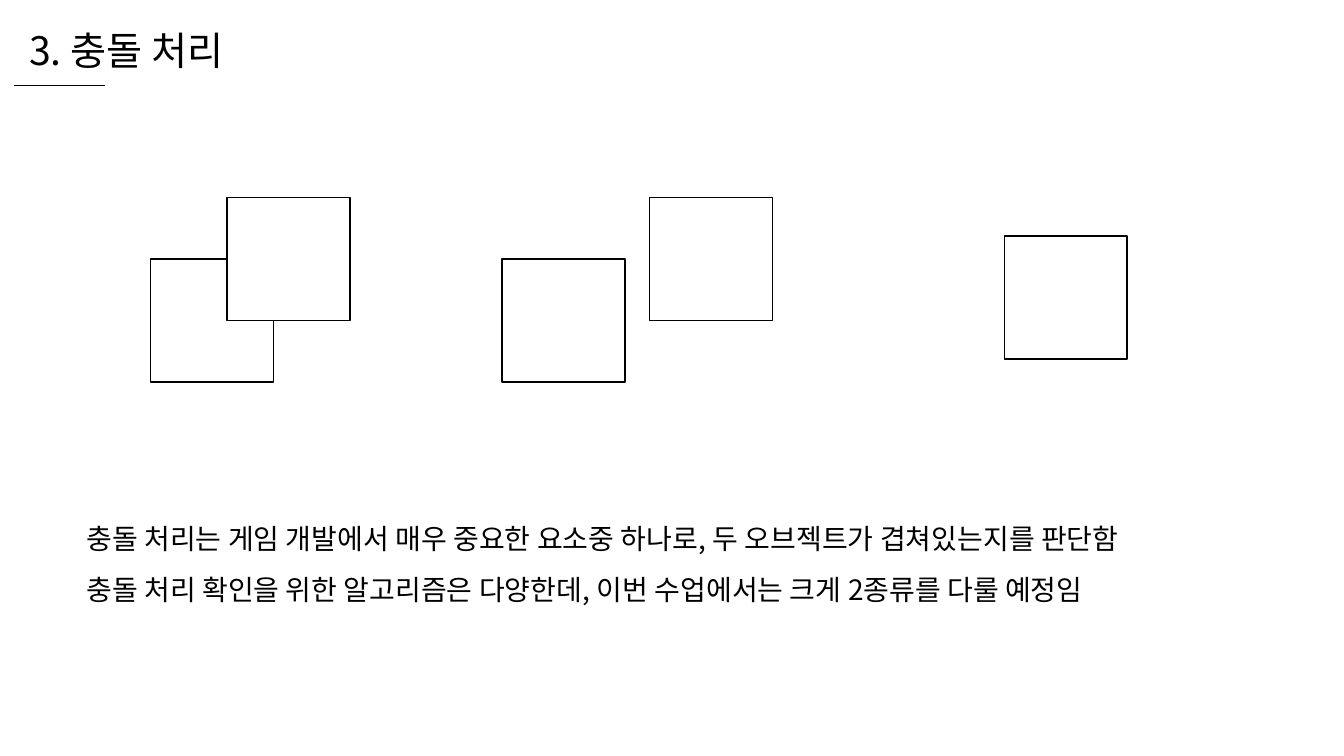
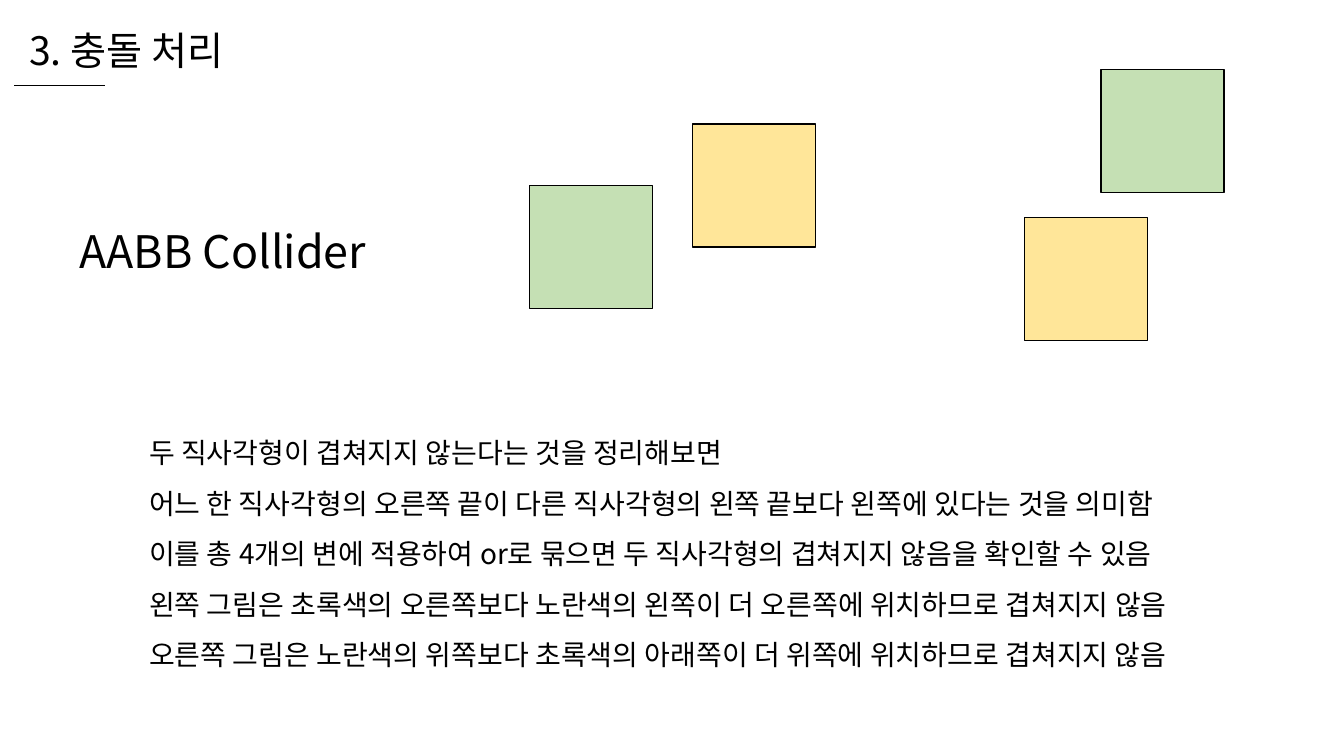
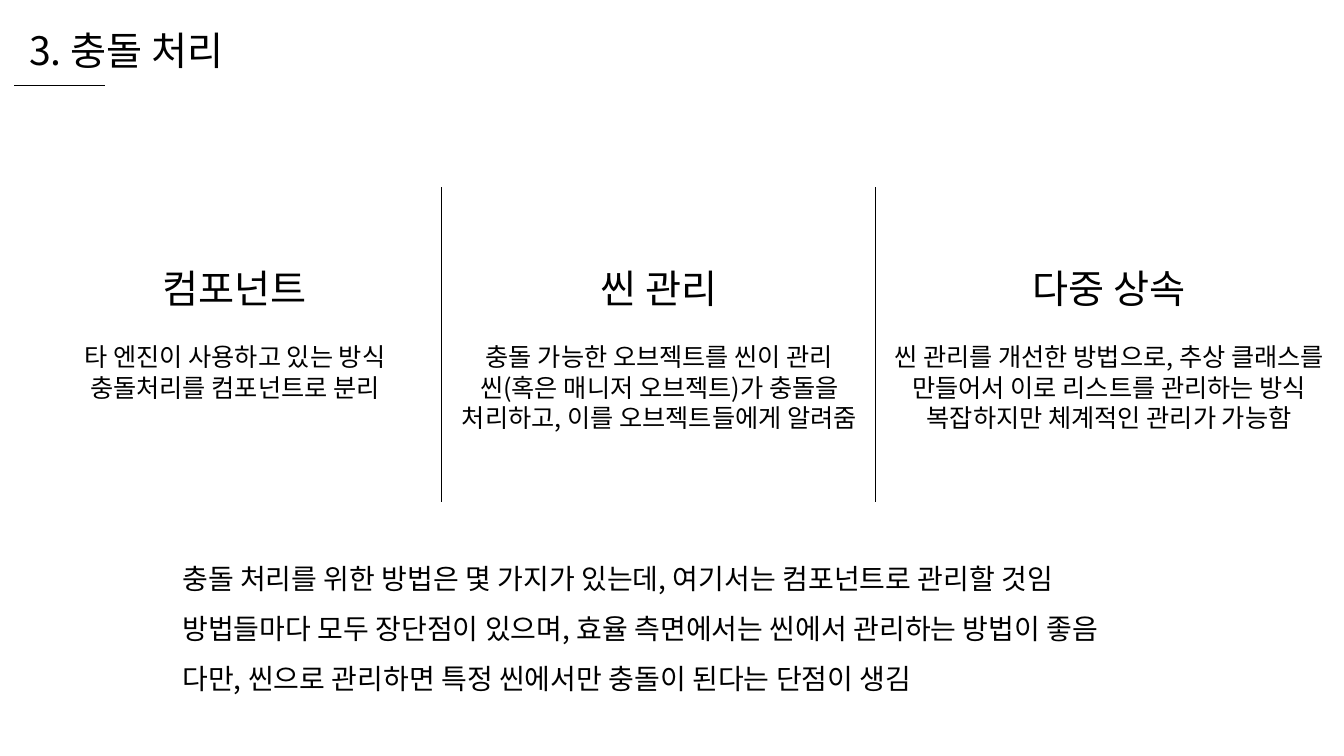
from lxml import etree
from pptx import Presentation
from pptx.dml.color import RGBColor
from pptx.enum import shapes, text
from pptx.oxml import ns
from pptx.util import Inches, Pt

FONT = "Noto Sans CJK KR"
COLORS = {"ink": "000000", "white": "FFFFFF", "green": "C5E0B4", "yellow": "FFE699"}
TITLE = "3. 충돌 처리"
SQUARE = 1.22
TITLE_SIZE, BODY_SIZE, DETAIL_SIZE = 28, 20, 18

# Content: squares are (left, top, colour); notes are (left, top, width, height, lines)
INTRO_SQUARES = [
    (1.49, 2.57, "white"), (2.25, 1.96, "white"),
    (4.98, 2.57, "white"), (6.44, 1.96, "white"),
    (9.96, 2.34, "white"),
]
INTRO_NOTES = (0.76, 4.96, 10.88, 1.05, [
    "충돌 처리는 게임 개발에서 매우 중요한 요소중 하나로, 두 오브젝트가 겹쳐있는지를 판단함",
    "충돌 처리 확인을 위한 알고리즘은 다양한데, 이번 수업에서는 크게 2종류를 다룰 예정임",
])

AABB_SQUARES = [
    (5.25, 1.84, "green"), (6.87, 1.23, "yellow"),
    (10.16, 2.16, "yellow"), (10.92, 0.69, "green"),
]
AABB_NOTES = (1.38, 4.11, 10.72, 2.57, [
    "두 직사각형이 겹쳐지지 않는다는 것을 정리해보면",
    "어느 한 직사각형의 오른쪽 끝이 다른 직사각형의 왼쪽 끝보다 왼쪽에 있다는 것을 의미함",
    "이를 총 4개의 변에 적용하여 or로 묶으면 두 직사각형의 겹쳐지지 않음을 확인할 수 있음",
    "왼쪽 그림은 초록색의 오른쪽보다 노란색의 왼쪽이 더 오른쪽에 위치하므로 겹쳐지지 않음",
    "오른쪽 그림은 노란색의 위쪽보다 초록색의 아래쪽이 더 위쪽에 위치하므로 겹쳐지지 않음",
])

# Methods: (centre, heading, heading width, detail width, detail lines)
METHODS = [
    (2.33, "컴포넌트", 1.68, 3.25, [
        "타 엔진이 사용하고 있는 방식",
        "충돌처리를 컴포넌트로 분리",
    ]),
    (6.54, "씬 관리", 1.42, 4.35, [
        "충돌 가능한 오브젝트를 씬이 관리",
        "씬(혹은 매니저 오브젝트)가 충돌을",
        "처리하고, 이를 오브젝트들에게 알려줌",
    ]),
    (11.0, "다중 상속", 1.79, 4.65, [
        "씬 관리를 개선한 방법으로, 추상 클래스를",
        "만들어서 이로 리스트를 관리하는 방식",
        "복잡하지만 체계적인 관리가 가능함",
    ]),
]
DIVIDERS = [4.38, 8.68]
METHOD_NOTES = (1.71, 5.35, 9.67, 1.56, [
    "충돌 처리를 위한 방법은 몇 가지가 있는데, 여기서는 컴포넌트로 관리할 것임",
    "방법들마다 모두 장단점이 있으며, 효율 측면에서는 씬에서 관리하는 방법이 좋음",
    "다만, 씬으로 관리하면 특정 씬에서만 충돌이 된다는 단점이 생김",
])


def color(name):
    return RGBColor.from_string(COLORS[name])


def add_text(page, left, top, width, height, lines, size=BODY_SIZE,
             spacing=None, align=text.PP_ALIGN.LEFT):
    box = page.shapes.add_textbox(*map(Inches, (left, top, width, height)))
    frame = box.text_frame
    frame.text = "\n".join(lines)
    frame.word_wrap = False
    frame.auto_size = text.MSO_AUTO_SIZE.SHAPE_TO_FIT_TEXT
    for para in frame.paragraphs:
        para.alignment = align
        para.line_spacing = spacing
        for span in para.runs:
            span.font.name = FONT
            span.font.size = Pt(size)
            span.font.color.rgb = color("ink")
            # Korean glyphs take the East Asian typeface
            east_asian = etree.SubElement(span.font._element, ns.qn("a:ea"))
            east_asian.set("typeface", FONT)


def add_notes(page, notes):
    add_text(page, *notes, spacing=1.5)


def add_line(page, x1, y1, x2, y2):
    line = page.shapes.add_connector(
        shapes.MSO_CONNECTOR.STRAIGHT, *map(Inches, (x1, y1, x2, y2)))
    line.line.color.rgb = color("ink")
    line.line.width = Pt(0.5)
    etree.SubElement(line._element.spPr, ns.qn("a:effectLst"))


def add_squares(page, squares):
    for left, top, fill in squares:
        square = page.shapes.add_shape(
            shapes.MSO_SHAPE.RECTANGLE, *map(Inches, (left, top, SQUARE, SQUARE)))
        square.shadow.inherit = False
        square.fill.solid()
        square.fill.fore_color.rgb = color(fill)
        square.line.color.rgb = color("ink")
        square.line.width = Pt(1)


def add_page(deck):
    """Add a blank slide with the shared title and its short rule."""
    page = deck.slides.add_slide(deck.slide_layouts[6])
    add_text(page, 0.19, 0.21, 2.26, 0.57, [TITLE], TITLE_SIZE)
    add_line(page, 0.14, 0.85, 1.04, 0.85)
    return page


def add_methods(page):
    for x in DIVIDERS:
        add_line(page, x, 1.86, x, 4.98)
    for centre, heading, heading_width, detail_width, details in METHODS:
        add_text(page, centre - heading_width / 2, 2.57, heading_width, 0.57,
                 [heading], TITLE_SIZE, align=text.PP_ALIGN.CENTER)
        add_text(page, centre - detail_width / 2, 3.34, detail_width,
                 0.1 + 0.3 * len(details), details, DETAIL_SIZE,
                 align=text.PP_ALIGN.CENTER)


def main():
    deck = Presentation()
    deck.slide_width, deck.slide_height = Inches(13.33), Inches(7.5)

    # What collision handling is
    page = add_page(deck)
    add_squares(page, INTRO_SQUARES)
    add_notes(page, INTRO_NOTES)

    # Axis-aligned boxes
    page = add_page(deck)
    add_squares(page, AABB_SQUARES)
    add_notes(page, AABB_NOTES)
    add_text(page, 0.69, 1.9, 3.1, 0.81, ["AABB Collider"], 32, spacing=1.5)

    # Three ways to manage collisions
    page = add_page(deck)
    add_methods(page)
    add_notes(page, METHOD_NOTES)

    deck.save("out.pptx")


if __name__ == "__main__":
    main()
